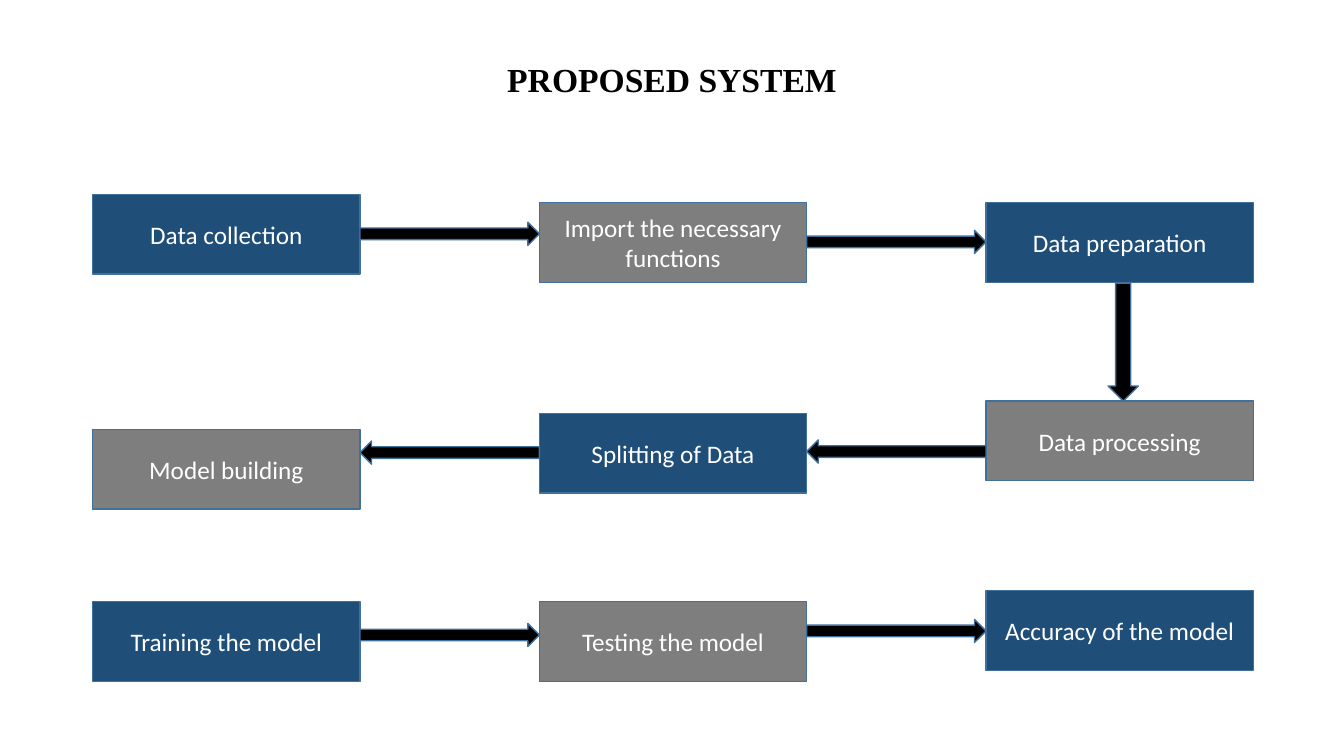
from pptx import Presentation
from pptx.dml.color import RGBColor
from pptx.enum.shapes import MSO_SHAPE
from pptx.enum.text import MSO_ANCHOR, PP_ALIGN
from pptx.util import Inches, Pt

TITLE = "PROPOSED SYSTEM"
BLUE, GRAY, EDGE, BLACK, WHITE = "1F4E79", "7E7E7E", "41709C", "000000", "FFFFFF"

STEPS = [
    ("Data collection", 0, 1.93, BLUE),
    ("Import the necessary functions", 1, 2.01, GRAY),
    ("Data preparation", 2, 2.01, BLUE),
    ("Data processing", 2, 3.98, GRAY),
    ("Splitting of Data", 1, 4.1, BLUE),
    ("Model building", 0, 4.26, GRAY),
    ("Training the model", 0, 5.97, BLUE),
    ("Testing the model", 1, 5.97, GRAY),
    ("Accuracy of the model", 2, 5.86, BLUE),
]
RIGHT, LEFT = MSO_SHAPE.RIGHT_ARROW, MSO_SHAPE.LEFT_ARROW
ARROWS = [
    (RIGHT, 0, 2.32),
    (RIGHT, 1, 2.4),
    (LEFT, 1, 4.48),
    (LEFT, 0, 4.49),
    (RIGHT, 0, 6.3),
    (RIGHT, 1, 6.26),
]

MARGIN, PITCH = 0.92, 4.43
BOX_W, BOX_H = 2.65, 0.79
ARROW_H = 0.23
DOWN_X, DOWN_Y, DOWN_W, DOWN_H = 10.99, 2.81, 0.3, 1.17


def color(value):
    return RGBColor.from_string(value)


def add_block(kind, x, y, w, h, fill):
    sp = s.shapes.add_shape(kind, Inches(x), Inches(y), Inches(w), Inches(h))
    sp.shadow.inherit = False
    sp.fill.solid()
    sp.fill.fore_color.rgb = color(fill)
    sp.line.color.rgb = color(EDGE)
    sp.line.width = Pt(1)
    return sp


def set_text(sp, text, font, size, fill, bold=False):
    tf = sp.text_frame
    tf.word_wrap = True
    tf.vertical_anchor = MSO_ANCHOR.MIDDLE
    tf.margin_left = tf.margin_right = tf.margin_top = tf.margin_bottom = 0
    p = tf.paragraphs[0]
    p.text = text
    p.alignment = PP_ALIGN.CENTER
    p.font.name = font
    p.font.size = Pt(size)
    p.font.bold = bold
    p.font.color.rgb = color(fill)


prs = Presentation()
prs.slide_width, prs.slide_height = Inches(13.33), Inches(7.5)
s = prs.slides.add_slide(prs.slide_layouts[6])

title = s.shapes.add_textbox(Inches(4.92), Inches(0.57), Inches(3.49), Inches(0.43))
set_text(title, TITLE, "Times New Roman", 24, BLACK, bold=True)

for text, col, y, fill in STEPS:
    box = add_block(MSO_SHAPE.RECTANGLE, MARGIN + col * PITCH, y, BOX_W, BOX_H, fill)
    set_text(box, text, "Calibri", 18, WHITE)

for kind, gap, mid in ARROWS:
    x = MARGIN + gap * PITCH + BOX_W
    add_block(kind, x, mid - ARROW_H / 2, PITCH - BOX_W, ARROW_H, BLACK)
add_block(MSO_SHAPE.DOWN_ARROW, DOWN_X, DOWN_Y, DOWN_W, DOWN_H, BLACK)

prs.save("out.pptx")
